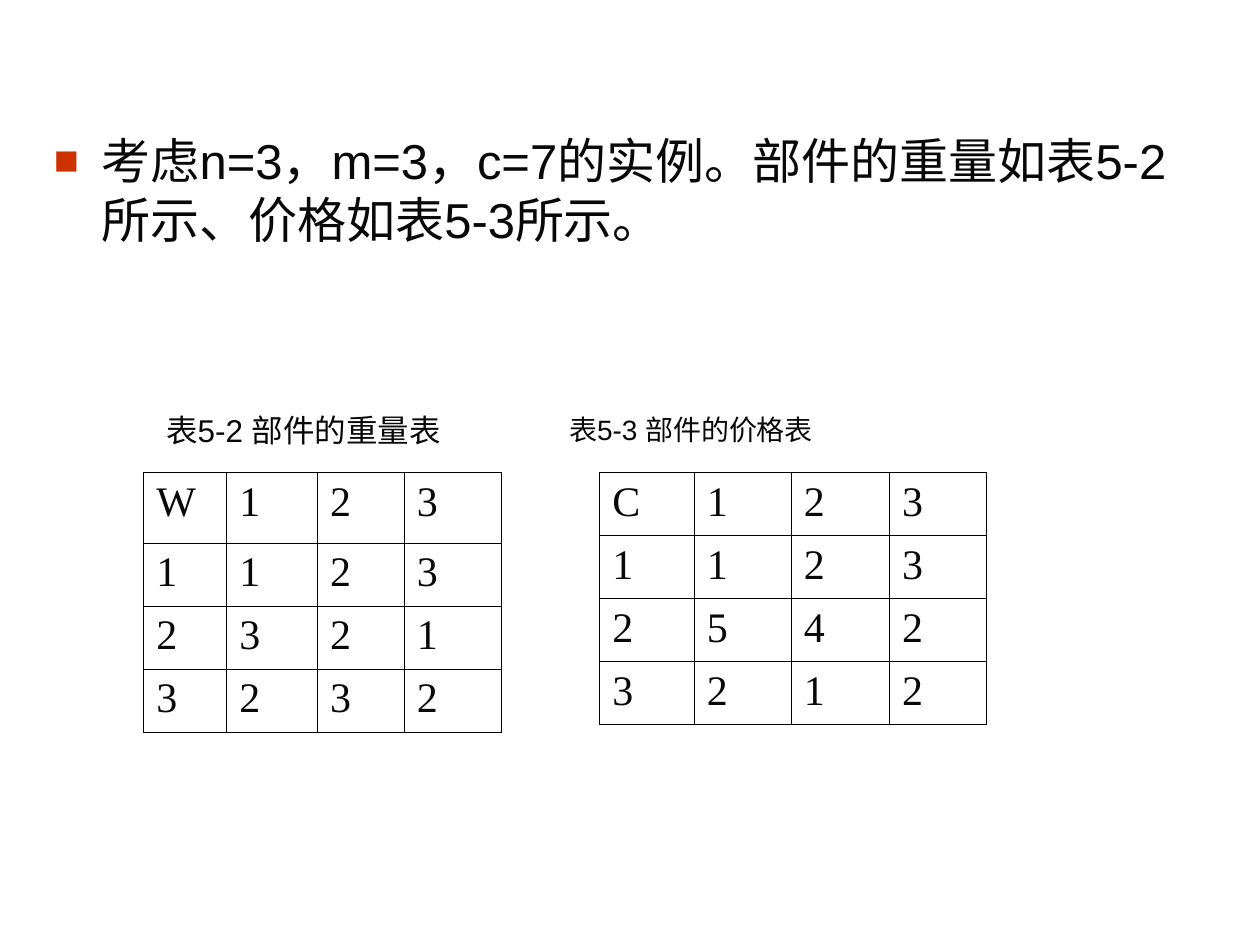
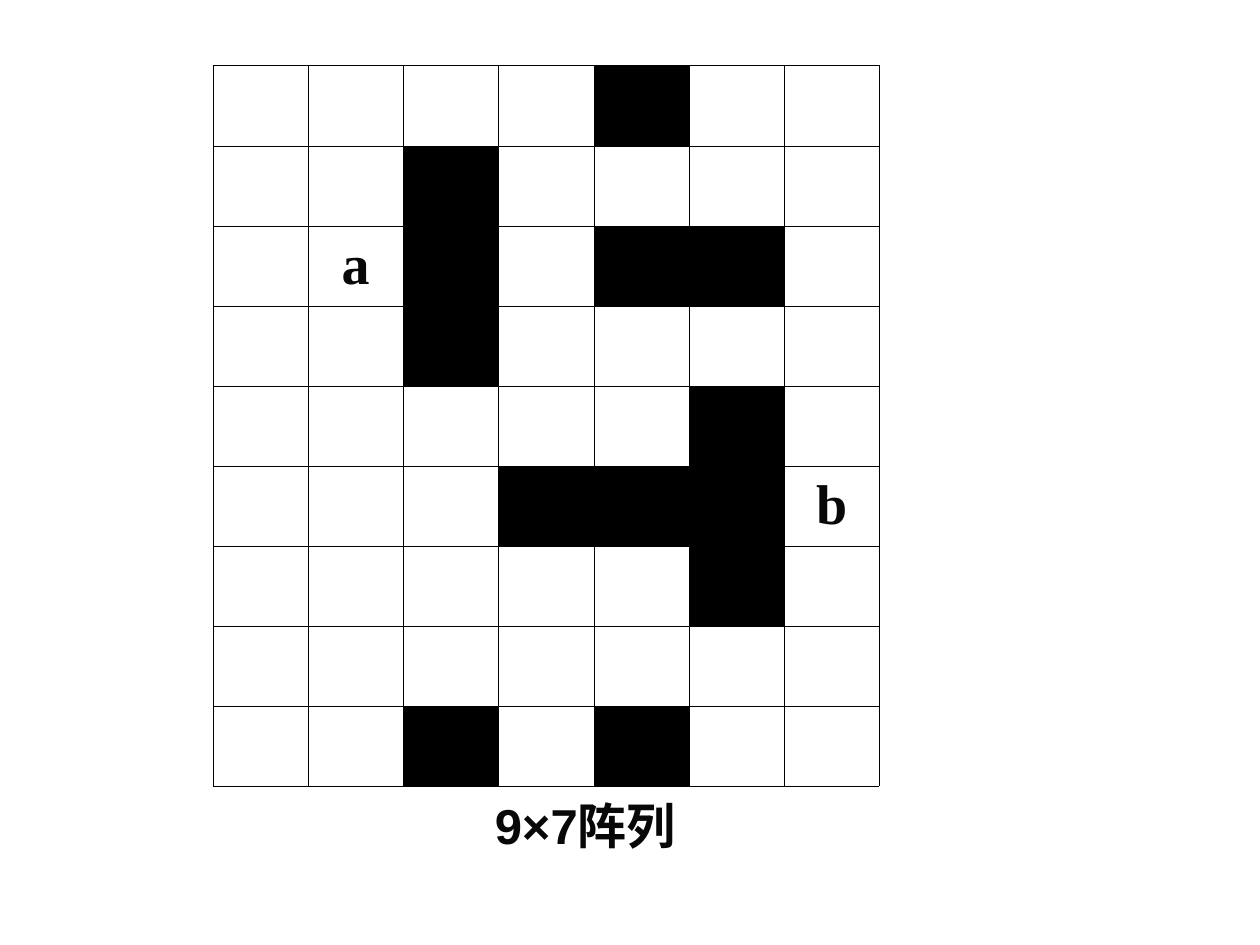
from dataclasses import dataclass
from typing import Optional

from lxml import etree
from pptx import Presentation
from pptx import util as u
from pptx.dml.color import RGBColor
from pptx.enum import text
from pptx.oxml import ns


@dataclass(frozen=True)
class Theme:
    ink: RGBColor = RGBColor(0x08, 0x08, 0x08)
    wall: RGBColor = RGBColor(0, 0, 0)
    border: str = "000000"
    bullet: str = "CC3300"
    sans: str = "Arial"
    serif: str = "Times New Roman"
    body_size: int = 28
    cell_size: int = 24
    mark_size: int = 32


THEME = Theme()


@dataclass(frozen=True)
class Label:
    words: str
    left: float
    top: float
    width: float
    height: float
    size: int
    bold: bool = False
    align: text.PP_ALIGN = text.PP_ALIGN.LEFT
    anchor: text.MSO_ANCHOR = text.MSO_ANCHOR.MIDDLE


@dataclass(frozen=True)
class Grid:
    rows: list[str]  # one character per cell, "#" is a wall, "." is empty
    left: float
    top: float
    widths: list[float]
    heights: list[float]
    size: int
    line: float
    bold: bool = False
    align: text.PP_ALIGN = text.PP_ALIGN.LEFT
    anchor: text.MSO_ANCHOR = text.MSO_ANCHOR.TOP


def style_paragraph(paragraph, font_name: str, size: int, bold: bool, align) -> None:
    paragraph.alignment = align
    for run in paragraph.runs:
        run.font.name = font_name
        run.font.size = u.Pt(size)
        run.font.bold = bold
        run.font.color.rgb = THEME.ink


def add_label(slide, label: Label):
    box = slide.shapes.add_textbox(*(u.Inches(n) for n in (
        label.left, label.top, label.width, label.height)))
    frame = box.text_frame
    frame.word_wrap = True
    frame.vertical_anchor = label.anchor
    frame.text = label.words
    style_paragraph(frame.paragraphs[0], THEME.sans, label.size, label.bold, label.align)
    return frame.paragraphs[0]


def add_square_bullet(paragraph) -> None:
    props = paragraph._p.get_or_add_pPr()
    props.set("marL", str(u.Inches(0.38)))
    props.set("indent", str(-u.Inches(0.38)))
    color = etree.SubElement(props, ns.qn("a:buClr"))
    etree.SubElement(color, ns.qn("a:srgbClr"), val=THEME.bullet)
    etree.SubElement(props, ns.qn("a:buSzPct"), val="85000")
    etree.SubElement(props, ns.qn("a:buFont"), typeface=THEME.sans)
    etree.SubElement(props, ns.qn("a:buChar"), char="■")


def add_borders(cell, width: float) -> None:
    props = cell._tc.get_or_add_tcPr()
    for side in ("a:lnL", "a:lnR", "a:lnT", "a:lnB"):
        line = etree.SubElement(props, ns.qn(side), w=str(u.Pt(width)))
        fill = etree.SubElement(line, ns.qn("a:solidFill"))
        etree.SubElement(fill, ns.qn("a:srgbClr"), val=THEME.border)


def add_grid(slide, grid: Grid) -> None:
    table = slide.shapes.add_table(
        len(grid.heights), len(grid.widths), u.Inches(grid.left), u.Inches(grid.top),
        u.Inches(sum(grid.widths)), u.Inches(sum(grid.heights))).table
    table.first_row = table.horz_banding = False
    for column, width in zip(table.columns, grid.widths):
        column.width = u.Inches(width)
    for row, height in zip(table.rows, grid.heights):
        row.height = u.Inches(height)
    for r, symbols in enumerate(grid.rows):
        for c, symbol in enumerate(symbols):
            cell = table.cell(r, c)
            add_borders(cell, grid.line)
            if symbol == "#":
                cell.fill.solid()
                cell.fill.fore_color.rgb = THEME.wall
                continue
            cell.fill.background()
            if symbol != ".":
                cell.vertical_anchor = grid.anchor
                cell.text_frame.text = symbol
                style_paragraph(cell.text_frame.paragraphs[0], THEME.serif,
                                grid.size, grid.bold, grid.align)


def build_parts_slide(slide) -> None:
    # Problem statement
    statement = add_label(slide, Label(
        "考虑n=3，m=3，c=7的实例。部件的重量如表5-2所示、价格如表5-3所示。",
        0.33, 0.99, 9.4, 1.2, THEME.body_size, anchor=text.MSO_ANCHOR.TOP))
    add_square_bullet(statement)

    # Weight and price tables with their captions
    add_label(slide, Label("表5-2 部件的重量表", 1.22, 3.21, 2.9, 0.4, 18))
    add_label(slide, Label("表5-3 部件的价格表", 4.42, 3.21, 2.9, 0.4, 16))
    add_grid(slide, Grid(["W123", "1123", "2321", "3232"], 1.14, 3.75,
                         [0.66, 0.72, 0.69, 0.77], [0.56] + [0.5] * 3,
                         THEME.cell_size, 0.45))
    add_grid(slide, Grid(["C123", "1123", "2542", "3212"], 4.76, 3.75,
                         [0.75, 0.77, 0.78, 0.77], [0.5] * 4,
                         THEME.cell_size, 0.45))


def build_array_slide(slide) -> None:
    # Array with walls and the two marked cells
    maze = [
        "....#..",
        "..#....",
        ".a#.##.",
        "..#....",
        ".....#.",
        "...###b",
        ".....#.",
        ".......",
        "..#.#..",
    ]
    add_grid(slide, Grid(maze, 1.69, 0.52, [5.29 / 7] * 7, [5.72 / 9] * 9,
                         THEME.mark_size, 0.06, bold=True,
                         align=text.PP_ALIGN.CENTER, anchor=text.MSO_ANCHOR.MIDDLE))
    add_label(slide, Label("9×7阵列", 3.11, 6.26, 3.07, 0.57, THEME.body_size,
                           bold=True, align=text.PP_ALIGN.CENTER))


def main() -> None:
    deck = Presentation()
    deck.slide_width, deck.slide_height = u.Inches(10), u.Inches(7.5)
    for build in (build_parts_slide, build_array_slide):
        build(deck.slides.add_slide(deck.slide_layouts[6]))
    deck.save("out.pptx")


if __name__ == "__main__":
    main()
